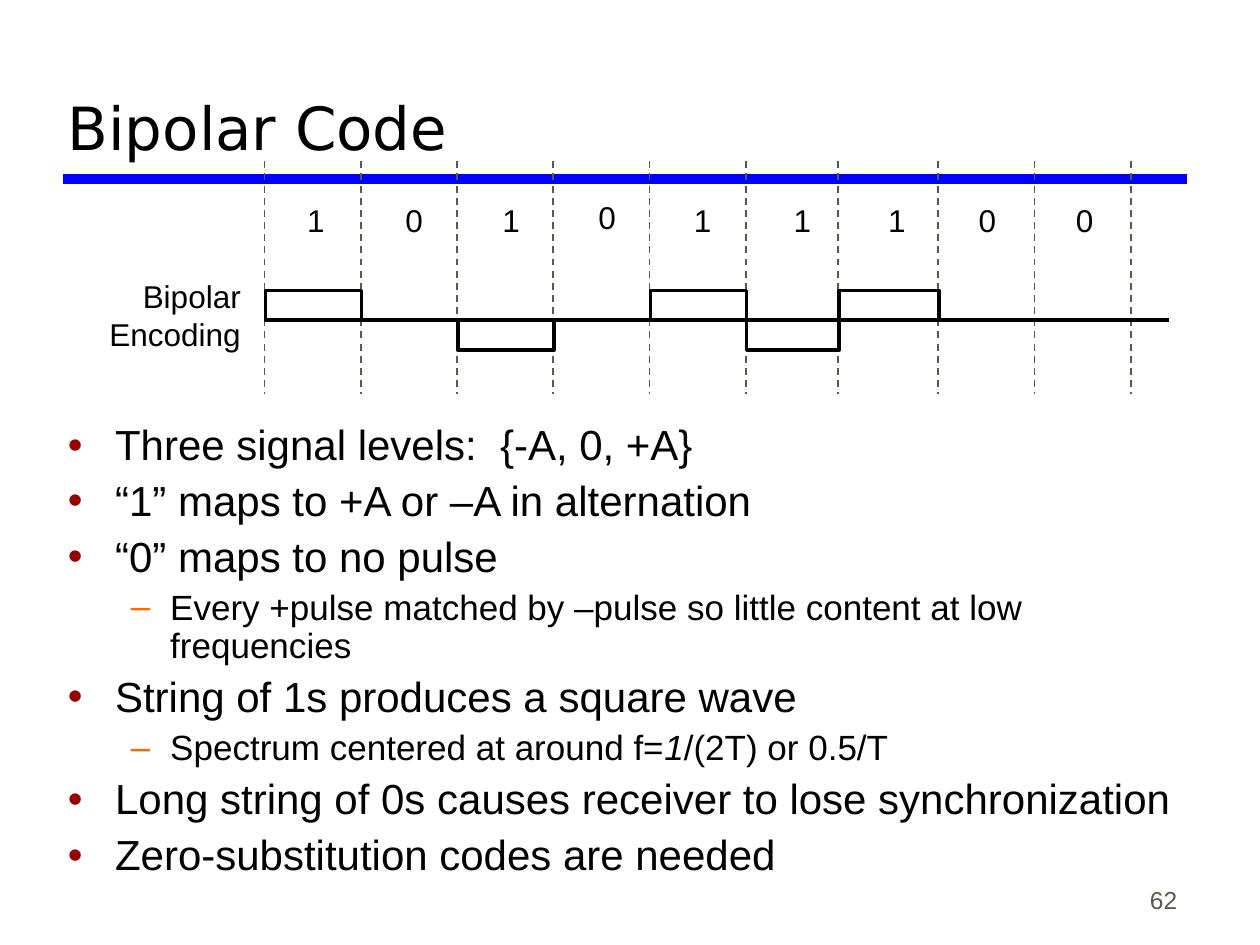
"""Build the Bipolar Code slide with its pulse diagram and bullet list."""
from lxml import etree
from pptx import Presentation
from pptx.dml.color import RGBColor
from pptx.enum import dml, shapes, text
from pptx.oxml import ns
from pptx.util import Pt

BLACK = RGBColor(0x00, 0x00, 0x00)
BLUE = RGBColor(0x00, 0x00, 0xFF)
GREY = RGBColor(0x5E, 0x57, 0x4E)
DARK_RED = RGBColor(0x99, 0x00, 0x00)
ORANGE = RGBColor(0xFF, 0x66, 0x00)

presentation = Presentation()
presentation.slide_width, presentation.slide_height = Pt(720), Pt(540)
slide = presentation.slides.add_slide(presentation.slide_layouts[6])


def add_line(x1, y1, x2, y2, color, width):
    line = slide.shapes.add_connector(
        shapes.MSO_CONNECTOR.STRAIGHT, Pt(x1), Pt(y1), Pt(x2), Pt(y2))
    line.line.color.rgb = color
    line.line.width = Pt(width)
    etree.SubElement(line._element.spPr, ns.qn("a:effectLst"))
    return line


def add_text(left, top, width, height, words, size, font="Arial", color=BLACK):
    shape = slide.shapes.add_textbox(Pt(left), Pt(top), Pt(width), Pt(height))
    shape.text_frame.word_wrap = True
    paragraph = shape.text_frame.paragraphs[0]
    paragraph.text = words
    paragraph.font.size = Pt(size)
    paragraph.font.name = font
    paragraph.font.color.rgb = color
    return shape.text_frame


add_line(36, 102.2, 678.2, 102.2, BLUE, 6)

number = add_text(530, 490.3, 149.8, 36, "62", 14, color=GREY)
number.vertical_anchor = text.MSO_ANCHOR.BOTTOM
number.paragraphs[0].alignment = text.PP_ALIGN.RIGHT

title = add_text(31.7, 12.2, 645.8, 84.2, "Bipolar Code", 34, "DejaVu Sans")
title.vertical_anchor = text.MSO_ANCHOR.BOTTOM

bullets = [
    (0, ["Three signal levels:  {-A, 0, +A}"]),
    (0, ["“1” maps to +A or –A in alternation"]),
    (0, ["“0” maps to no pulse"]),
    (1, ["Every +pulse matched by –pulse so little content at low frequencies"]),
    (0, ["String of 1s produces a square wave"]),
    (1, ["Spectrum centered at around f=", "1", "/(2T) or 0.5/T"]),
    (0, ["Long string of 0s causes receiver to lose synchronization"]),
    (0, ["Zero-substitution codes are needed"]),
]
level_styles = [
    (24, 6, 27, -27, "•", DARK_RED),
    (20, 5, 58.5, -22.5, "–", ORANGE),
]
body = slide.shapes.add_textbox(Pt(31.7), Pt(239), Pt(648), Pt(313)).text_frame
body.word_wrap = True
for index, (level, parts) in enumerate(bullets):
    size, space, margin, indent, mark, mark_color = level_styles[level]
    paragraph = body.add_paragraph() if index else body.paragraphs[0]
    paragraph.level = level
    paragraph.line_spacing = 0.9
    paragraph.space_before = Pt(space)
    properties = paragraph._p.get_or_add_pPr()
    properties.set("marL", str(Pt(margin)))
    properties.set("indent", str(Pt(indent)))
    bullet_color = etree.SubElement(properties, ns.qn("a:buClr"))
    etree.SubElement(bullet_color, ns.qn("a:srgbClr"), val=str(mark_color))
    etree.SubElement(properties, ns.qn("a:buFont"), typeface="Arial")
    etree.SubElement(properties, ns.qn("a:buChar"), char=mark)
    paragraph.font.size = Pt(size)
    paragraph.font.name = "Arial"
    paragraph.font.color.rgb = BLACK
    for part in parts:
        run = paragraph.add_run()
        run.text = part
        if part == "1":
            run.font.italic = True

edges = [151.2 + 55 * index for index in range(10)]
edges[6] = 479
for edge in edges:
    divider = add_line(edge, 92.2, edge, 225.4, GREY, 1)
    divider.line.dash_style = dml.MSO_LINE.DASH

bits = "101011100"
bit_lefts = [168.5, 224.6, 280, 334.8, 389.5, 446.4, 500.4, 552.2, 607.7]
for index, (bit, left) in enumerate(zip(bits, bit_lefts)):
    top = 109.4 if index == 3 else 111.6
    add_text(left, top, 24.5, 28.8, bit, 18).word_wrap = False

baseline, pulse_height = 183, 17
add_line(edges[0], baseline, 668.2, baseline, BLACK, 2)
positive = True
for bit, start, end in zip(bits, edges, edges[1:]):
    if bit == "1":
        top = baseline - pulse_height if positive else baseline
        pulse = slide.shapes.add_shape(
            shapes.MSO_SHAPE.RECTANGLE,
            Pt(start + 0.5), Pt(top), Pt(end - start), Pt(pulse_height))
        pulse.fill.background()
        pulse.line.color.rgb = BLACK
        pulse.line.width = Pt(2)
        pulse.shadow.inherit = False
        positive = not positive

label = add_text(24.5, 154.8, 120.2, 50.4, "Bipolar Encoding", 18)
label.paragraphs[0].alignment = text.PP_ALIGN.RIGHT

presentation.save("out.pptx")
